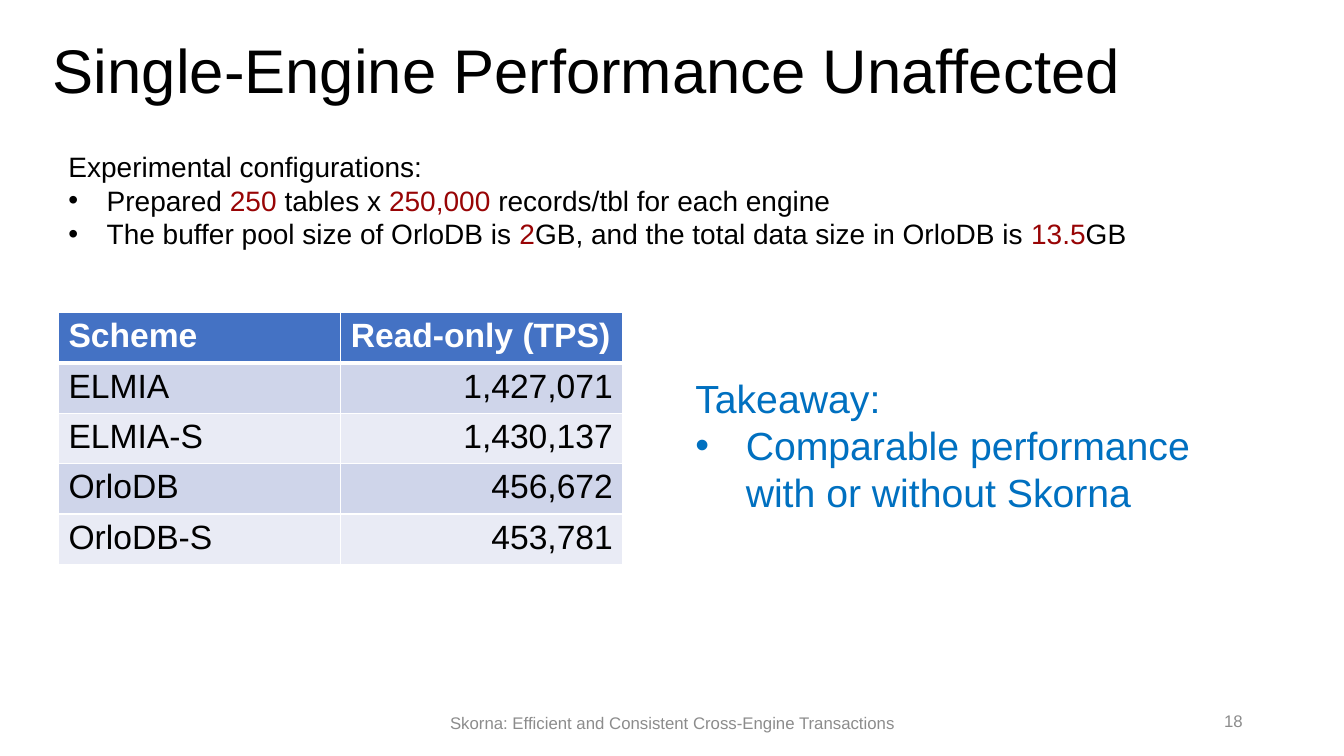
from lxml.etree import SubElement
from pptx import Presentation
from pptx.dml.color import RGBColor
from pptx.enum.text import MSO_ANCHOR, PP_ALIGN
from pptx.oxml.ns import qn
from pptx.util import Inches, Pt

WIDTH, HEIGHT = 13.33, 7.5
BLACK, WHITE, GREY = "000000", "FFFFFF", "8C8C8C"
RED, BLUE = "980405", "0070C0"
HEADER_FILL, BANDS = "4472C4", ("CFD5EA", "E9EBF5")


def color(hex_string):
    return RGBColor.from_string(hex_string)


def share(left, top, width, height):
    """Turn shares of the slide's size into a box in inches."""
    return left * WIDTH, top * HEIGHT, width * WIDTH, height * HEIGHT


def write(paragraph, text, size=20, fill=BLACK, bold=False, align=PP_ALIGN.LEFT,
          bullet_indent=0, accent=RED):
    """Write text into a paragraph; parts between bars take the accent colour."""
    paragraph.alignment = align
    for index, part in enumerate(text.split("|")):
        run = paragraph.add_run()
        run.text = part
        run.font.name = "Arial"
        run.font.size = Pt(size)
        run.font.bold = bold
        run.font.color.rgb = color(accent if index % 2 else fill)
    if bullet_indent:
        properties = paragraph._p.get_or_add_pPr()
        properties.set("marL", str(Inches(bullet_indent)))
        properties.set("indent", str(-Inches(bullet_indent)))
        SubElement(properties, qn("a:buFont"), typeface="Arial")
        SubElement(properties, qn("a:buChar"), char="•")


def add_text(slide, box, lines, anchor=MSO_ANCHOR.TOP, wrap=True, bullet_indent=0, **style):
    """Add a text box whose lines after the first are bullets."""
    frame = slide.shapes.add_textbox(*map(Inches, box)).text_frame
    frame.word_wrap = wrap
    frame.vertical_anchor = anchor
    for index, line in enumerate(lines):
        paragraph = frame.add_paragraph() if index else frame.paragraphs[0]
        write(paragraph, line, bullet_indent=bullet_indent if index else 0, **style)
    return frame


def set_borders(cell, **widths):
    properties = cell._tc.get_or_add_tcPr()
    for side in "LRTB":
        line = SubElement(properties, qn(f"a:ln{side}"), w=str(Pt(widths.get(side, 1))))
        SubElement(SubElement(line, qn("a:solidFill")), qn("a:srgbClr"), val=WHITE)


def add_results(slide, box, rows):
    """Fill the box with a header row and banded rows of equal size."""
    table = slide.shapes.add_table(len(rows), len(rows[0]), *map(Inches, box)).table
    for row_index, row in enumerate(rows):
        header = row_index == 0
        for column_index, text in enumerate(row):
            cell = table.cell(row_index, column_index)
            set_borders(cell, B=3 if header else 1, T=3 if row_index == 1 else 1)
            cell.fill.solid()
            cell.fill.fore_color.rgb = color(HEADER_FILL if header else BANDS[(row_index - 1) % 2])
            number = column_index > 0 and not header
            write(cell.text_frame.paragraphs[0], text, size=24, bold=header,
                  fill=WHITE if header else BLACK,
                  align=PP_ALIGN.RIGHT if number else PP_ALIGN.LEFT)


def add_title(slide, box, text):
    frame = add_text(slide, box, [text], size=44)
    frame.paragraphs[0].line_spacing = 0.9


def add_footer(slide, text, number):
    style = dict(size=12, fill=GREY, anchor=MSO_ANCHOR.MIDDLE)
    add_text(slide, share(0.325, 0.929, 0.351, 0.053), [text], align=PP_ALIGN.CENTER, **style)
    add_text(slide, share(0.707, 0.927, 0.225, 0.053), [number], align=PP_ALIGN.RIGHT, **style)


def main():
    presentation = Presentation()
    presentation.slide_width, presentation.slide_height = Inches(WIDTH), Inches(HEIGHT)
    slide = presentation.slides.add_slide(presentation.slide_layouts[6])

    # Title and experiment setup
    add_title(slide, share(0.032, 0.047, 0.888, 0.187), "Single-Engine Performance Unaffected")
    add_text(slide, share(0.0435, 0.191, 0.815, 0.148), [
        "Experimental configurations:",
        "Prepared |250| tables x |250,000| records/tbl for each engine",
        "The buffer pool size of OrloDB is |2|GB, and the total data size in OrloDB is |13.5|GB",
    ], wrap=False, bullet_indent=0.38)

    # Results and takeaway
    add_results(slide, share(0.0435, 0.413, 0.42, 0.333), [
        ("Scheme", "Read-only (TPS)"),
        ("ELMIA", "1,427,071"),
        ("ELMIA-S", "1,430,137"),
        ("OrloDB", "456,672"),
        ("OrloDB-S", "453,781"),
    ])
    add_text(slide, share(0.51, 0.489, 0.41, 0.201), [
        "Takeaway:",
        "Comparable performance with or without Skorna",
    ], size=28, fill=BLUE, bullet_indent=0.5)

    # Footer
    add_footer(slide, "Skorna: Efficient and Consistent Cross-Engine Transactions", "18")
    presentation.save("out.pptx")


if __name__ == "__main__":
    main()
